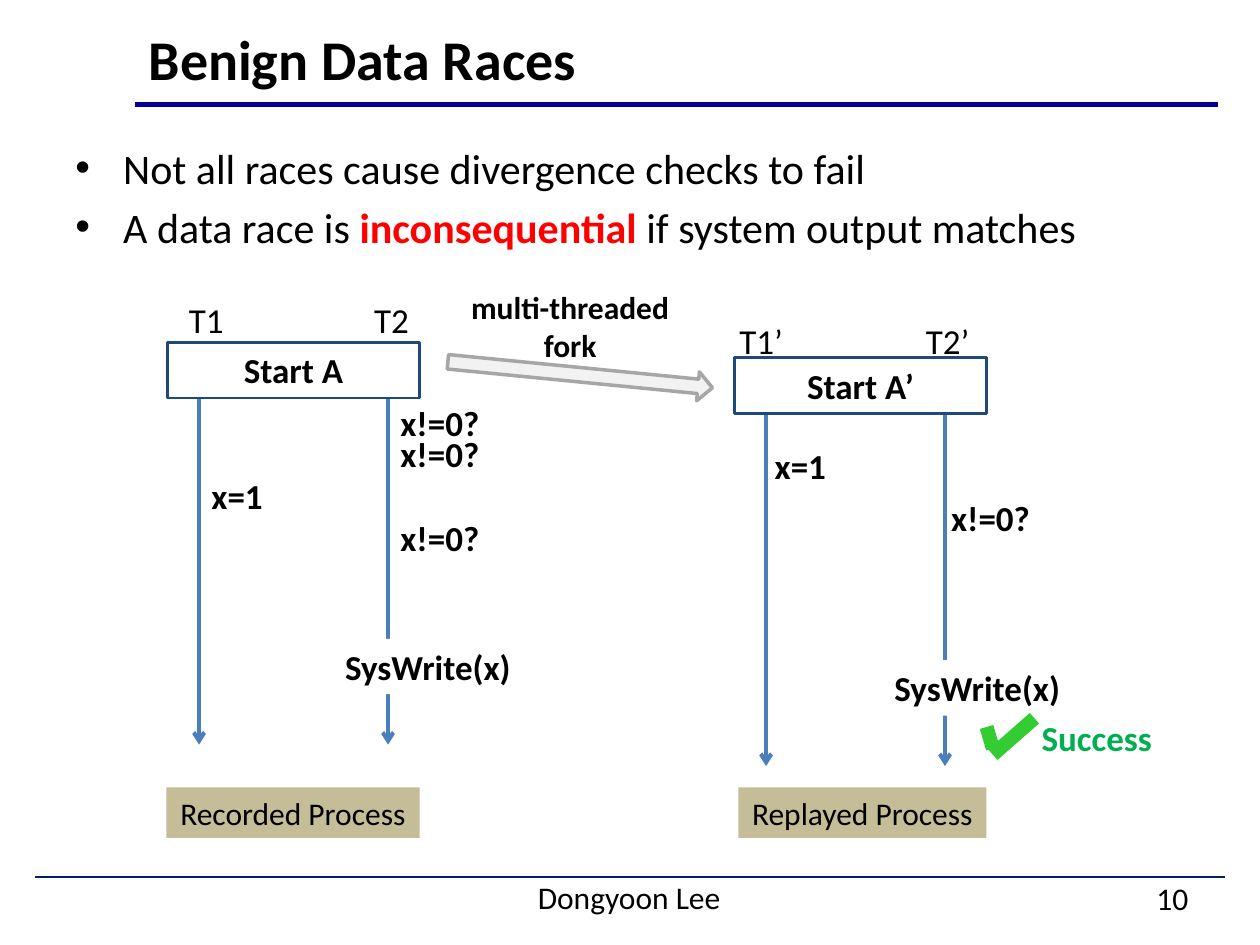
import pptx
import pptx.util
import pptx.dml.color
import pptx.enum.shapes
import pptx.enum.text
import pptx.oxml
import pptx.oxml.ns
import lxml.etree

Inches = pptx.util.Inches
Pt = pptx.util.Pt
RGB = pptx.dml.color.RGBColor.from_string
SHAPE = pptx.enum.shapes.MSO_SHAPE
ALIGN = pptx.enum.text.PP_ALIGN
ANCHOR = pptx.enum.text.MSO_ANCHOR
qn = pptx.oxml.ns.qn

C = {
    "text": "000000", "white": "FFFFFF", "title_rule": "000099",
    "foot_rule": "002060", "thread": "4B7EBC", "start": "1F497D",
    "caption": "C4BD97", "alert": "FF0000", "check": "33CC33",
    "success": "00B050", "fork": "F2F2F2", "fork_line": "A6A6A6",
}

prs = pptx.Presentation()
prs.slide_width, prs.slide_height = Inches(10), Inches(7.5)
s = prs.slides.add_slide(prs.slide_layouts[5])


def add_line(x1, y1, x2, y2, color, width, arrow=False):
    sp = s.shapes.add_connector(pptx.enum.shapes.MSO_CONNECTOR.STRAIGHT,
                                Inches(x1), Inches(y1), Inches(x2), Inches(y2))
    sp.line.color.rgb = RGB(C[color])
    sp.line.width = Pt(width)
    if arrow:
        lxml.etree.SubElement(sp.line._get_or_add_ln(), qn("a:tailEnd"), type="arrow")
    lxml.etree.SubElement(sp._element.spPr, qn("a:effectLst"))


def add_text(box, paras, size=20, bold=True, color="text", align=ALIGN.LEFT,
             fill=None, line=None, sp=None, wrap=False, anchor=ANCHOR.TOP):
    x, y, w, h = [Inches(v) for v in box]
    if sp is None and fill:
        sp = s.shapes.add_shape(SHAPE.RECTANGLE, x, y, w, h)
        sp.shadow.inherit = False
        sp.fill.solid()
        sp.fill.fore_color.rgb = RGB(C[fill])
        if line:
            sp.line.color.rgb = RGB(C[line])
            sp.line.width = Pt(1.5)
        else:
            sp.line.fill.background()
    elif sp is None:
        sp = s.shapes.add_textbox(x, y, w, h)
    else:
        sp.left, sp.top, sp.width, sp.height = x, y, w, h
    tf = sp.text_frame
    tf.word_wrap = wrap
    tf.vertical_anchor = anchor
    for i, runs in enumerate(paras):
        p = tf.paragraphs[0] if i == 0 else tf.add_paragraph()
        p.alignment = align
        for text, run_bold, run_color in runs if isinstance(runs, list) else [(runs, bold, color)]:
            r = p.add_run()
            r.text = text
            r.font.name = "Calibri"
            r.font.size = Pt(size)
            r.font.bold = run_bold
            r.font.color.rgb = RGB(C[run_color])
    return tf


add_line(1.07, 0.83, 9.67, 0.83, "title_rule", 3)
add_line(0.28, 6.96, 9.72, 6.96, "foot_rule", 1)
add_text((1.08, 0.17, 8.75, 0.58), ["Benign Data Races"], 32, sp=s.shapes.title,
         wrap=True, anchor=ANCHOR.MIDDLE)
add_text((4.17, 6.92, 1.67, 0.4), ["Dongyoon Lee"], 18, False, anchor=ANCHOR.MIDDLE)
add_text((8.61, 6.96, 0.92, 0.33), ["10"], 18, False, align=ALIGN.RIGHT,
         wrap=True, anchor=ANCHOR.MIDDLE)

tf = add_text((0.5, 1.08, 9.33, 1.08), [
    "Not all races cause divergence checks to fail",
    [("A data race is ", False, "text"), ("inconsequential", True, "alert"),
     (" if system output matches", False, "text")],
], 24, False, wrap=True)
for p in tf.paragraphs:
    p.space_before = Pt(4.8)
    pPr = p._p.get_or_add_pPr()
    pPr.set("marL", str(Inches(0.38)))
    pPr.set("indent", str(Inches(-0.38)))
    lxml.etree.SubElement(pPr, qn("a:buFont"), typeface="Arial")
    lxml.etree.SubElement(pPr, qn("a:buChar"), char="•")

for x, y in [(1.58, 2.91), (3.08, 2.91), (6.08, 3.08), (7.5, 3.08)]:
    add_line(x, y, x, y + 3, "thread", 2.25, arrow=True)

for x, y, w, text in [(1.58, 3.72, 0.61, "x=1"), (3.08, 3.14, 0.83, "x!=0?"),
                      (3.08, 3.38, 0.83, "x!=0?"), (3.08, 4.05, 0.83, "x!=0?"),
                      (6.05, 3.48, 0.61, "x=1"), (7.45, 3.89, 0.83, "x!=0?")]:
    add_text((x, y, w, 0.44), [text])

for x, y, w, text in [(1.4, 2.32, 0.48, "T1"), (2.87, 2.32, 0.48, "T2"),
                      (5.77, 2.49, 0.55, "T1’"), (7.25, 2.49, 0.55, "T2’")]:
    add_text((x, y, w, 0.44), [text], bold=False)

for x, y, text in [(1.33, 2.72, "Start A"), (5.83, 2.84, "Start A’")]:
    add_text((x, y, 2, 0.44), [text], align=ALIGN.CENTER, fill="white",
             line="start", wrap=True)

for x, y in [(2.64, 5.07), (7, 5.24)]:
    add_text((x, y, 1.53, 0.44), ["SysWrite(x)"], fill="white")

for x, w, text in [(1.32, 2.01, "Recorded Process"), (5.86, 1.97, "Replayed Process")]:
    add_text((x, 6.25, w, 0.4), [text], 18, False, align=ALIGN.CENTER, fill="caption")

add_line(7.83, 5.77, 7.88, 5.94, "check", 8)
add_line(7.88, 5.99, 8.21, 5.7, "check", 8)
add_text((8.16, 5.64, 1.09, 0.44), ["Success"], color="success", align=ALIGN.CENTER)

fork = s.shapes.add_shape(SHAPE.RIGHT_ARROW, Inches(3.55), Inches(2.86), Inches(2.11), Inches(0.23))
fork.rotation = 5.6
fork.shadow.inherit = False
fork.fill.solid()
fork.fill.fore_color.rgb = RGB(C["fork"])
fork.line.color.rgb = RGB(C["fork_line"])
fork.line.width = Pt(2)
add_text((3.52, 2.24, 2.01, 0.71), ["multi-threaded", "fork"], 18, align=ALIGN.CENTER)

prs.save("out.pptx")
